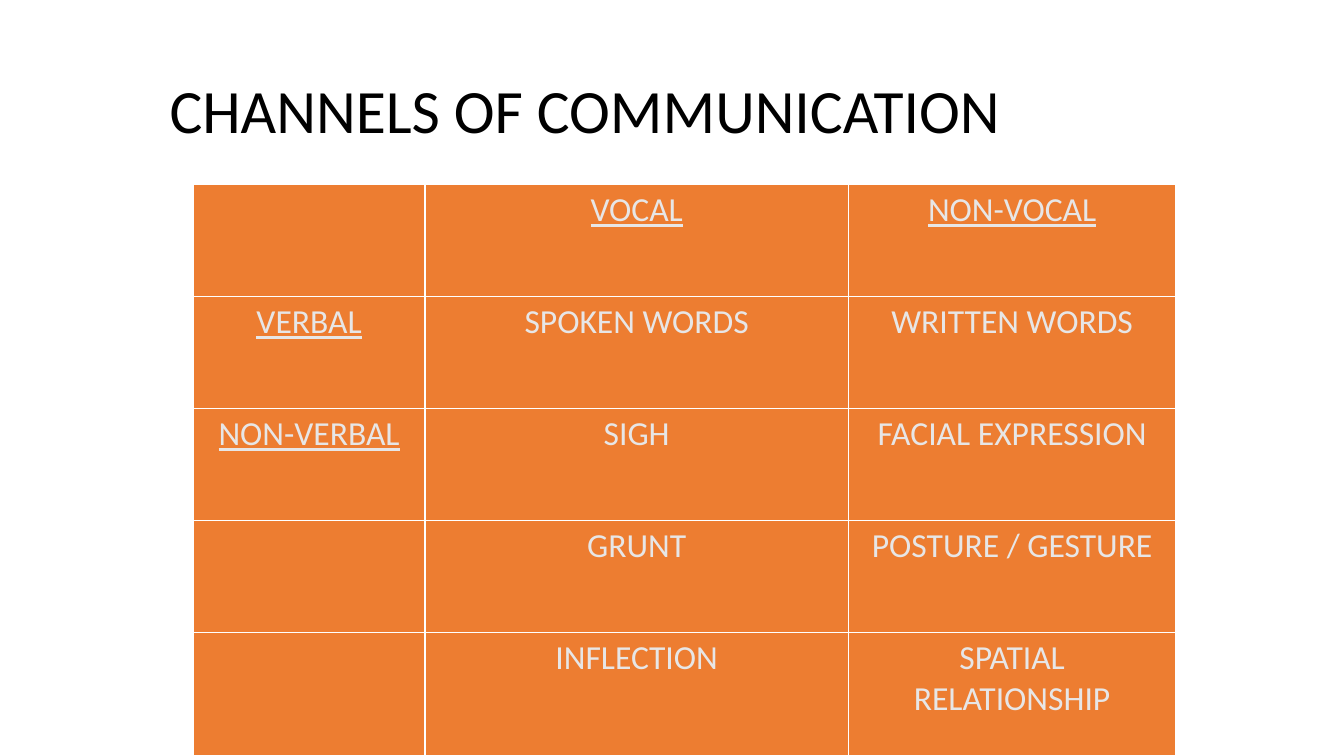
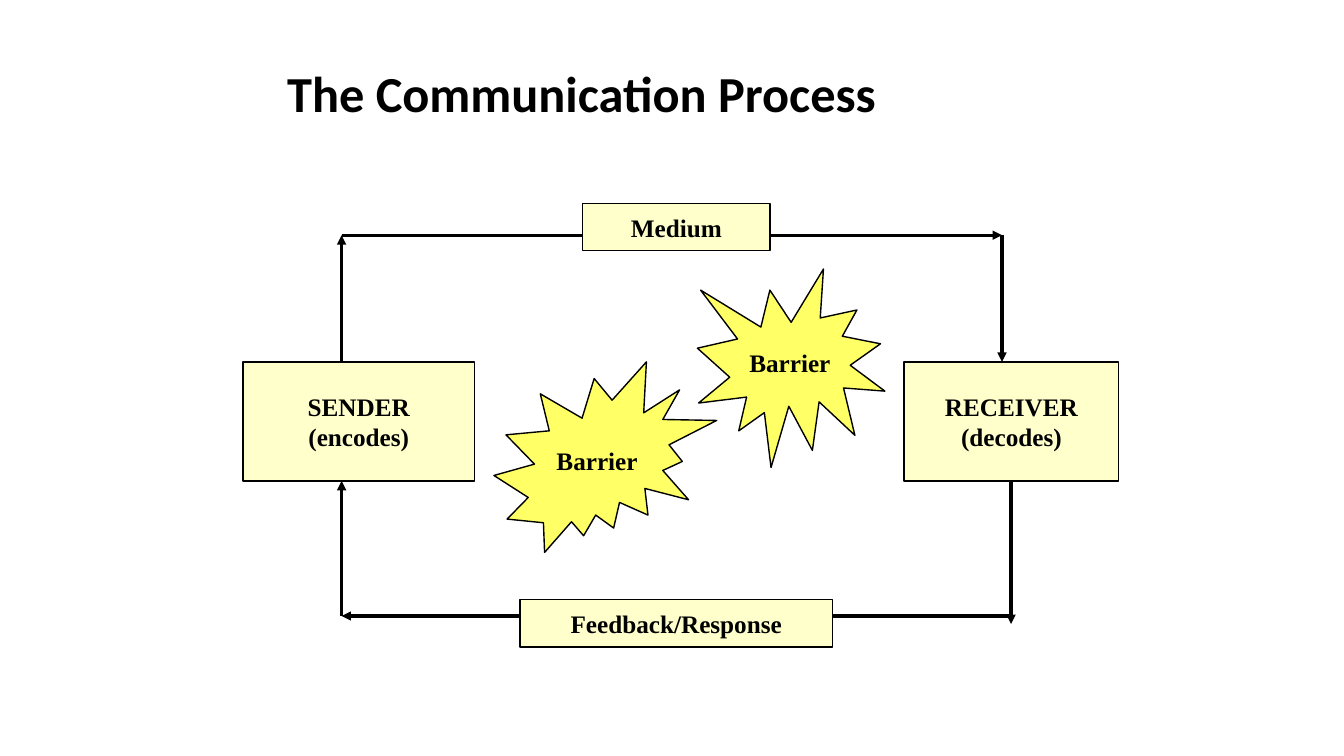
from lxml import etree
from pptx import Presentation
from pptx.dml.color import RGBColor
from pptx.enum.shapes import MSO_CONNECTOR, MSO_SHAPE
from pptx.enum.text import MSO_ANCHOR, PP_ALIGN
from pptx.oxml.ns import qn
from pptx.util import Pt

RECTANGLE = MSO_SHAPE.RECTANGLE
BURST_ROUND = MSO_SHAPE.EXPLOSION1
BURST_WIDE = MSO_SHAPE.EXPLOSION2
STRAIGHT = MSO_CONNECTOR.STRAIGHT
MIDDLE = MSO_ANCHOR.MIDDLE
LEFT, CENTER = PP_ALIGN.LEFT, PP_ALIGN.CENTER

BLACK, WHITE = "000000", "FFFFFF"
ORANGE, PALE_GREY = "ED7D31", "E7E6E6"
CREAM, YELLOW = "FFFFCC", "FFFF66"

TITLE_FONT = {"name": "Calibri", "size": Pt(44), "bold": False}
CELL_FONT = {"name": "Calibri", "size": Pt(24), "bold": False}
LABEL_FONT = {"name": "Times New Roman", "size": Pt(18), "bold": True}


def colour(hex_code):
    return RGBColor.from_string(hex_code)


class Deck:
    """Holds the shared style and the slide being built."""

    def __init__(self):
        self.prs = Presentation()
        self.prs.slide_width, self.prs.slide_height = Pt(960), Pt(540)
        self.slide = None

    def new_slide(self):
        self.slide = self.prs.slides.add_slide(self.prs.slide_layouts[6])

    def add_text(self, frame, text, font, ink=BLACK, align=CENTER, spacing=None):
        for index, line in enumerate(text.split("\n")):
            paragraph = frame.add_paragraph() if index else frame.paragraphs[0]
            paragraph.alignment = align
            paragraph.line_spacing = spacing
            run = paragraph.add_run()
            run.text = line
            for name, value in font.items():
                setattr(run.font, name, value)
            run.font.color.rgb = colour(ink)

    def title(self, text, box, spacing=None, **changes):
        frame = self.slide.shapes.add_textbox(*map(Pt, box)).text_frame
        frame.word_wrap = True
        frame.vertical_anchor = MIDDLE
        self.add_text(frame, text, {**TITLE_FONT, **changes}, align=LEFT, spacing=spacing)

    def label(self, text, box, preset=RECTANGLE, fill=CREAM):
        shape = self.slide.shapes.add_shape(preset, *map(Pt, box))
        shape.shadow.inherit = False
        shape.fill.solid()
        shape.fill.fore_color.rgb = colour(fill)
        shape.line.color.rgb = colour(BLACK)
        shape.line.width = Pt(1)
        shape.text_frame.word_wrap = False
        shape.text_frame.vertical_anchor = MIDDLE
        self.add_text(shape.text_frame, text, LABEL_FONT)

    def arrow(self, start, end):
        arrow = self.slide.shapes.add_connector(STRAIGHT, *map(Pt, start + end))
        arrow.line.color.rgb = colour(BLACK)
        arrow.line.width = Pt(2.25)
        outline = arrow._element.spPr.find(qn("a:ln"))
        etree.SubElement(outline, qn("a:tailEnd"), type="triangle")
        etree.SubElement(arrow._element.spPr, qn("a:effectLst"))

    def cell_borders(self, cell):
        properties = cell._tc.get_or_add_tcPr()
        for side in ("lnL", "lnR", "lnT", "lnB"):
            border = etree.SubElement(properties, qn(f"a:{side}"), w=str(Pt(1)))
            fill = etree.SubElement(border, qn("a:solidFill"))
            etree.SubElement(fill, qn("a:srgbClr"), val=WHITE)

    def table(self, rows, left, top, widths, heights):
        table = self.slide.shapes.add_table(
            len(heights), len(widths), Pt(left), Pt(top),
            Pt(sum(widths)), Pt(sum(heights))).table
        table.first_row = table.horz_banding = False
        for column, width in zip(table.columns, widths):
            column.width = Pt(width)
        for row, height in zip(table.rows, heights):
            row.height = Pt(height)
        for r, words in enumerate(rows):
            for c, word in enumerate(words):
                cell = table.cell(r, c)
                self.cell_borders(cell)
                cell.fill.solid()
                cell.fill.fore_color.rgb = colour(ORANGE)
                if word:
                    # Row and column headings are underlined
                    heading = r == 0 or c == 0
                    self.add_text(cell.text_frame, word,
                                  {**CELL_FONT, "underline": heading}, PALE_GREY)


def channels(deck):
    deck.new_slide()
    deck.title("CHANNELS OF COMMUNICATION", (114, 36, 708, 90), spacing=0.9)
    deck.table(
        [("", "VOCAL", "NON-VOCAL"),
         ("VERBAL", "SPOKEN WORDS", "WRITTEN WORDS"),
         ("NON-VERBAL", "SIGH", "FACIAL EXPRESSION"),
         ("", "GRUNT", "POSTURE / GESTURE"),
         ("", "INFLECTION", "SPATIAL RELATIONSHIP")],
        138, 132, (165.6, 302.4, 234), (80, 80, 80, 80, 88))


def process(deck):
    deck.new_slide()
    deck.title("The Communication Process", (198, 30, 594, 72), size=Pt(36), bold=True)

    # Sender and receiver
    party_top, party_height = 258.5, 85
    party_bottom = party_top + party_height
    deck.label("SENDER\n(encodes)", (173.5, party_top, 165.6, party_height))
    deck.label("RECEIVER\n(decodes)", (645.8, party_top, 153.4, party_height))

    # Barriers between them
    deck.label("Barrier", (352.8, 258.5, 159.1, 136.1), BURST_WIDE, YELLOW)
    deck.label("Barrier", (498.2, 192.2, 133.9, 141.8), BURST_ROUND, YELLOW)

    # Loop of arrows
    sender_x, receiver_in, receiver_out = 244, 715.7, 722.2
    medium_y, feedback_y = 168, 440
    for start, end in [
        ((sender_x, party_top), (sender_x, medium_y)),
        ((receiver_in, medium_y), (receiver_in, party_top)),
        ((sender_x, medium_y), (receiver_in, medium_y)),
        ((receiver_out, party_bottom), (receiver_out, 445.7)),
        ((sender_x, feedback_y), (sender_x, party_bottom)),
        ((receiver_out, feedback_y), (sender_x, feedback_y)),
    ]:
        deck.arrow(start, end)

    # Labels over the loop
    deck.label("Medium", (416.2, 145.4, 133.9, 33.8))
    deck.label("Feedback/Response", (371.5, 428.4, 223.2, 33.8))


def main():
    deck = Deck()
    channels(deck)
    process(deck)
    deck.prs.save("out.pptx")


if __name__ == "__main__":
    main()
